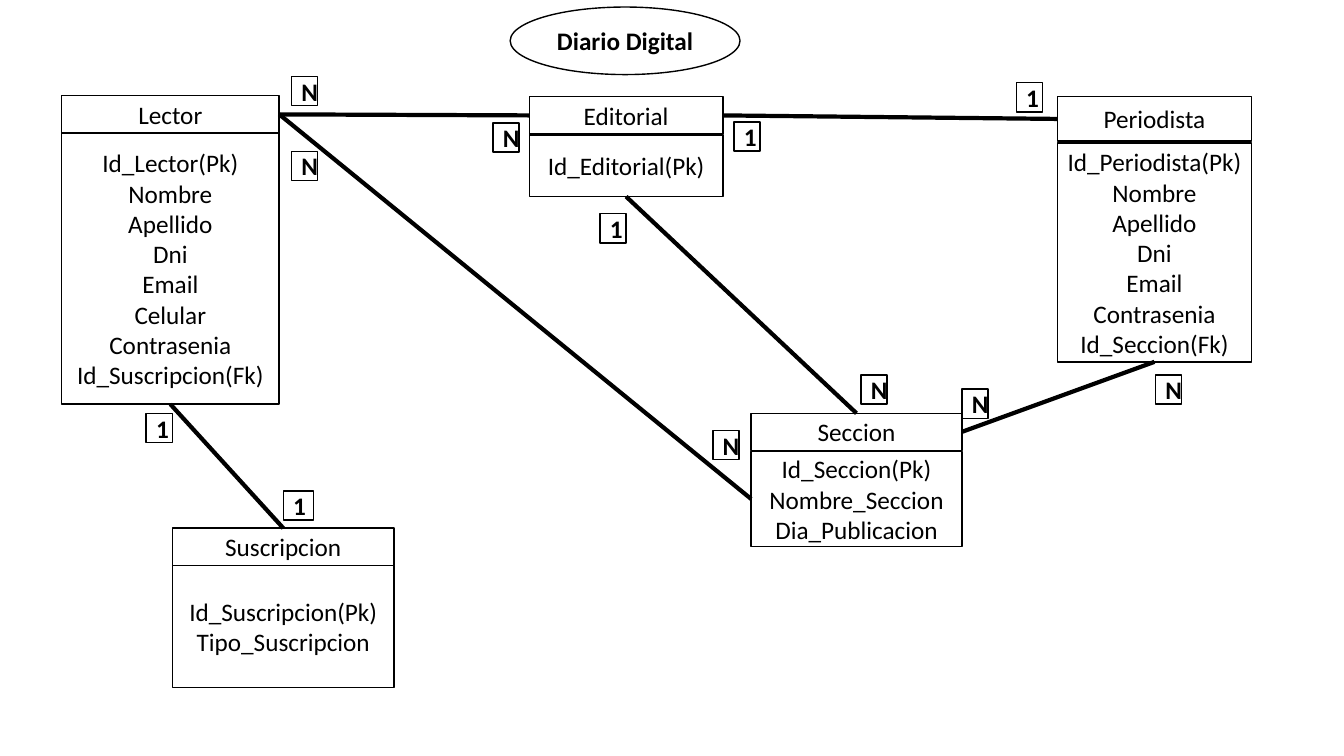
from dataclasses import dataclass

from lxml import etree
from pptx import Presentation
from pptx.dml.color import RGBColor
from pptx.enum.shapes import MSO_CONNECTOR, MSO_SHAPE
from pptx.enum.text import MSO_ANCHOR, PP_ALIGN
from pptx.oxml.ns import qn
from pptx.util import Inches, Pt

RECTANGLE, ELLIPSE = MSO_SHAPE.RECTANGLE, MSO_SHAPE.OVAL
STRAIGHT = MSO_CONNECTOR.STRAIGHT
CENTER, MIDDLE = PP_ALIGN.CENTER, MSO_ANCHOR.MIDDLE
TOP, LEFT, BOTTOM, RIGHT = range(4)  # connection sites of a rectangle


@dataclass(frozen=True)
class Theme:
    ink: RGBColor = RGBColor(0, 0, 0)
    paper: RGBColor = RGBColor(255, 255, 255)
    font: str = "Calibri"
    text_size: Pt = Pt(18)
    outline: Pt = Pt(1)
    link: Pt = Pt(3)


class Diagram:
    """Entity diagram on a grid of square cells, ten to the inch."""

    CELL = Inches(0.1)
    TAG_WIDTH, TAG_HEIGHT = 2.6, 2.9

    def __init__(self, slide, theme):
        self.slide = slide
        self.theme = theme

    def cells(self, *counts):
        return [round(count * self.CELL) for count in counts]

    def box(self, col, row, cols, rows, lines, bold=False, kind=RECTANGLE):
        shape = self.slide.shapes.add_shape(kind, *self.cells(col, row, cols, rows))
        shape.shadow.inherit = False
        shape.fill.solid()
        shape.fill.fore_color.rgb = self.theme.paper
        shape.line.color.rgb = self.theme.ink
        shape.line.width = self.theme.outline
        frame = shape.text_frame
        frame.word_wrap = True
        frame.vertical_anchor = MIDDLE
        for index, line in enumerate(lines):
            paragraph = frame.add_paragraph() if index else frame.paragraphs[0]
            paragraph.alignment = CENTER
            run = paragraph.add_run()
            run.text = line
            run.font.name = self.theme.font
            run.font.size = self.theme.text_size
            run.font.bold = bold
            run.font.color.rgb = self.theme.ink
        return shape

    def entity(self, name, col, cols, header, body, fields):
        """header and body are (row, rows) pairs."""
        fields_box = self.box(col, body[0], cols, body[1], fields)
        name_box = self.box(col, header[0], cols, header[1], [name])
        return name_box, fields_box

    def tag(self, text, col, row, cols=TAG_WIDTH):
        self.box(col, row, cols, self.TAG_HEIGHT, [text], bold=True)

    def relation(self, start, start_site, end, end_site, tags):
        line = self.slide.shapes.add_connector(STRAIGHT, 0, 0, 0, 0)
        line.begin_connect(start, start_site)
        line.end_connect(end, end_site)
        line.line.color.rgb = self.theme.ink
        line.line.width = self.theme.link
        etree.SubElement(line._element.spPr, qn("a:effectLst"))
        for tag in tags:
            self.tag(*tag)


def main():
    deck = Presentation()
    deck.slide_width, deck.slide_height = Inches(13.33), Inches(7.5)
    diagram = Diagram(deck.slides.add_slide(deck.slide_layouts[6]), Theme())

    # Title
    diagram.box(50.6, 0.7, 22.8, 6.7, ["Diario Digital"], bold=True, kind=ELLIPSE)

    # Entities
    person = ["Nombre", "Apellido", "Dni", "Email"]
    lector, lector_fields = diagram.entity(
        "Lector", 6.1, 21.6, (9.5, 3.7), (13.2, 26.9),
        ["Id_Lector(Pk)", *person, "Celular", "Contrasenia", "Id_Suscripcion(Fk)"])
    editorial, editorial_fields = diagram.entity(
        "Editorial", 52.5, 19.2, (9.6, 3.7), (13.4, 6.1), ["Id_Editorial(Pk)"])
    periodista, periodista_fields = diagram.entity(
        "Periodista", 104.9, 19.2, (9.6, 4.4), (14.2, 21.7),
        ["Id_Periodista(Pk)", *person, "Contrasenia", "Id_Seccion(Fk)"])
    seccion, seccion_fields = diagram.entity(
        "Seccion", 74.5, 20.9, (41, 3.7), (44.8, 9.4),
        ["Id_Seccion(Pk)", "Nombre_Seccion", "Dia_Publicacion"])
    suscripcion, _ = diagram.entity(
        "Suscripcion", 17.1, 22, (52.4, 3.7), (56.1, 12.1),
        ["Id_Suscripcion(Pk)", "Tipo_Suscripcion"])

    # Relations, each with the cardinality at both ends
    diagram.relation(lector_fields, BOTTOM, suscripcion, TOP,
                     [("1", 14.5, 41), ("1", 28.1, 48.7, 3)])
    diagram.relation(editorial_fields, BOTTOM, seccion, TOP,
                     [("1", 59.5, 21.2), ("N", 85.4, 37.2)])
    diagram.relation(periodista_fields, BOTTOM, seccion, RIGHT,
                     [("N", 114.6, 37.2), ("N", 95.4, 38.6)])
    diagram.relation(lector, RIGHT, seccion_fields, LEFT,
                     [("N", 28.9, 15), ("N", 70.7, 42.7)])
    diagram.relation(lector, RIGHT, editorial, LEFT,
                     [("N", 28.9, 7.6), ("N", 48.9, 12.2)])
    diagram.relation(editorial, RIGHT, periodista, LEFT,
                     [("1", 100.8, 8.2), ("1", 72.8, 12.1)])

    deck.save("out.pptx")


if __name__ == "__main__":
    main()
